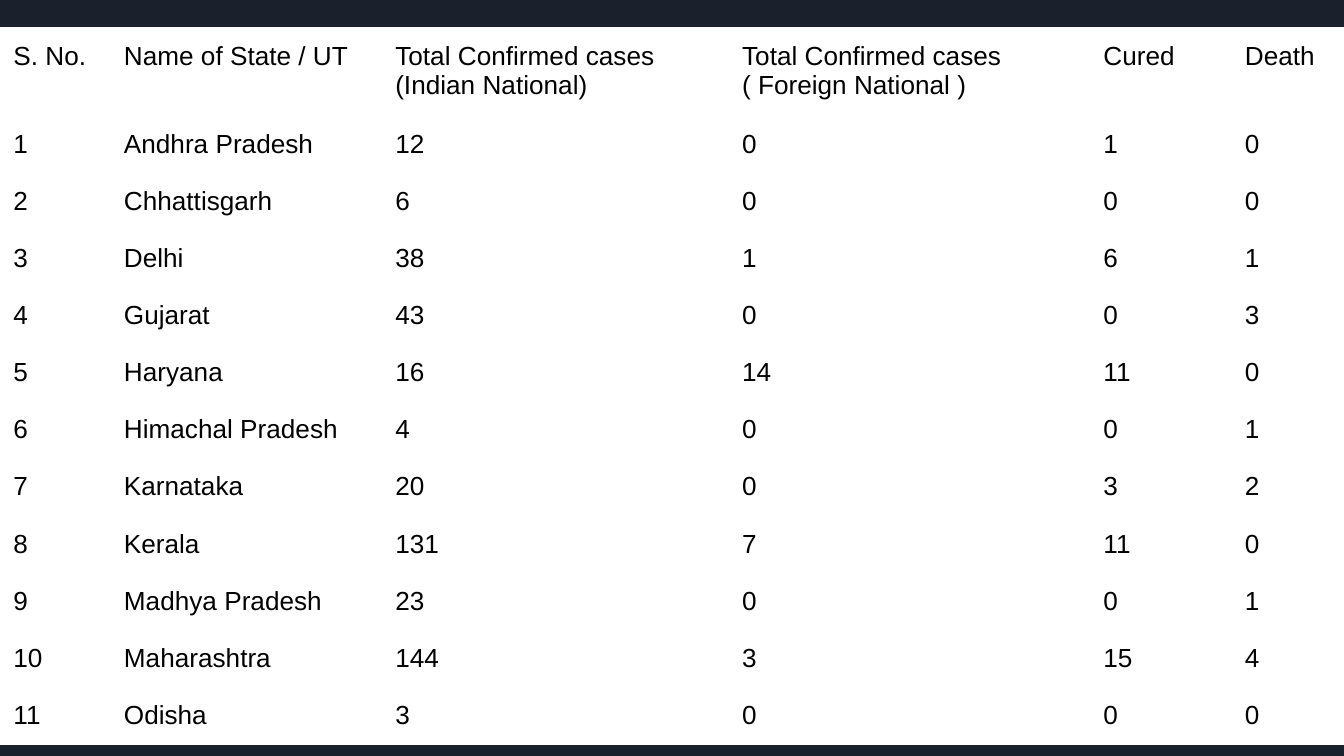
from pptx import Presentation
from pptx.dml import color
from pptx.util import Pt

COLORS = {"background": "1B212C", "cell": "FFFFFF", "text": "000000"}
FONT = "Arial"
COLUMN_WIDTHS = [59.2, 145.4, 185.8, 193.6, 75.8, 60.2]
HEADER_HEIGHT, ROW_HEIGHT = 47.1, 30.64

HEADERS = [
    "S. No.", "Name of State / UT", "Total Confirmed cases (Indian National)",
    "Total Confirmed cases ( Foreign National )", "Cured", "Death",
]
# State, Indian nationals, foreign nationals, cured, deaths
STATES = [
    ("Andhra Pradesh", 12, 0, 1, 0),
    ("Chhattisgarh", 6, 0, 0, 0),
    ("Delhi", 38, 1, 6, 1),
    ("Gujarat", 43, 0, 0, 3),
    ("Haryana", 16, 14, 11, 0),
    ("Himachal Pradesh", 4, 0, 0, 1),
    ("Karnataka", 20, 0, 3, 2),
    ("Kerala", 131, 7, 11, 0),
    ("Madhya Pradesh", 23, 0, 0, 1),
    ("Maharashtra", 144, 3, 15, 4),
    ("Odisha", 3, 0, 0, 0),
]


def rgb(name):
    return color.RGBColor.from_string(COLORS[name])


def fill_cell(cell, value):
    cell.fill.solid()
    cell.fill.fore_color.rgb = rgb("cell")
    cell.margin_left = cell.margin_right = Pt(7.2)
    cell.margin_top = cell.margin_bottom = Pt(7.2)
    run = cell.text_frame.paragraphs[0].add_run()
    run.text = str(value)
    run.font.name = FONT
    run.font.size = Pt(14)
    run.font.color.rgb = rgb("text")


def add_case_table(slide, left, top, width, height):
    records = [HEADERS] + [(number, *state) for number, state in enumerate(STATES, 1)]
    table = slide.shapes.add_table(
        len(records), len(HEADERS), Pt(left), Pt(top), Pt(width), Pt(height)
    ).table
    table.first_row = False
    table.horz_banding = False

    # Column and row sizes
    for column, column_width in zip(table.columns, COLUMN_WIDTHS):
        column.width = Pt(column_width)
    for index, row in enumerate(table.rows):
        row.height = Pt(ROW_HEIGHT if index else HEADER_HEIGHT)

    # Cell contents
    for row, record in zip(table.rows, records):
        for cell, value in zip(row.cells, record):
            fill_cell(cell, value)


def main():
    presentation = Presentation()
    presentation.slide_width = Pt(720)
    presentation.slide_height = Pt(405)
    slide = presentation.slides.add_slide(presentation.slide_layouts[6])

    # Dark background
    slide.background.fill.solid()
    slide.background.fill.fore_color.rgb = rgb("background")

    # Cases by state
    height = HEADER_HEIGHT + ROW_HEIGHT * len(STATES)
    add_case_table(slide, 0, 15, sum(COLUMN_WIDTHS), height)
    presentation.save("out.pptx")


if __name__ == "__main__":
    main()
